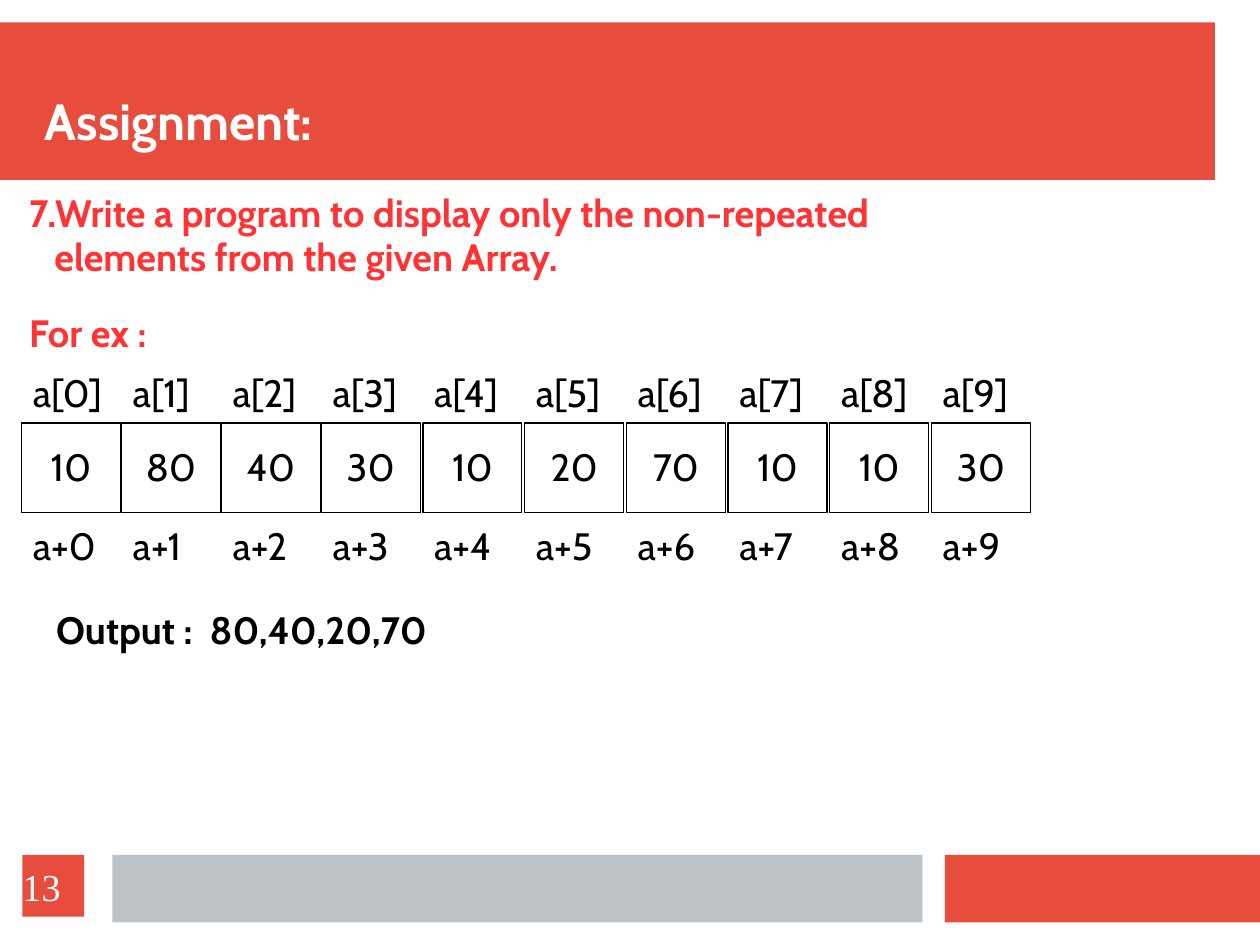
from pptx import Presentation
from pptx.dml.color import RGBColor
from pptx.enum.shapes import MSO_SHAPE
from pptx.enum.text import MSO_ANCHOR, PP_ALIGN
from pptx.util import Cm, Pt

RECTANGLE = MSO_SHAPE.RECTANGLE
TOP, MIDDLE, BOTTOM = MSO_ANCHOR.TOP, MSO_ANCHOR.MIDDLE, MSO_ANCHOR.BOTTOM
LEFT, CENTER = PP_ALIGN.LEFT, PP_ALIGN.CENTER

RED = RGBColor(0xE7, 0x4C, 0x3C)
GREY = RGBColor(0xBD, 0xC3, 0xC7)
BRIGHT_RED = RGBColor(0xFF, 0x33, 0x33)
BLACK = RGBColor(0, 0, 0)
WHITE = RGBColor(0xFF, 0xFF, 0xFF)

VALUES = [10, 80, 40, 30, 10, 20, 70, 10, 10, 30]
TEXT_MARGINS = (0.25, 0.13)
LINE_HEIGHT = 1.27


def write_text(shape, *lines, size=24, font="Cabin", color=BLACK, bold=False,
               align=LEFT, anchor=TOP, margins=TEXT_MARGINS, spacing=0.97,
               later_indent=0):
    frame = shape.text_frame
    frame.word_wrap = True
    frame.vertical_anchor = anchor
    frame.margin_left = frame.margin_right = Cm(margins[0])
    frame.margin_top = frame.margin_bottom = Cm(margins[1])
    for index, line in enumerate(lines):
        paragraph = frame.add_paragraph() if index else frame.paragraphs[0]
        paragraph.alignment = align
        paragraph.line_spacing = spacing
        if index and later_indent:
            paragraph._p.get_or_add_pPr().set("marL", str(Cm(later_indent)))
        run = paragraph.add_run()
        run.text = line
        run.font.name = font
        run.font.size = Pt(size)
        run.font.bold = bold
        run.font.color.rgb = color


def add_rectangle(slide, left, top, width, height, fill, line=None):
    shape = slide.shapes.add_shape(RECTANGLE, Cm(left), Cm(top), Cm(width), Cm(height))
    shape.shadow.inherit = False
    shape.fill.solid()
    shape.fill.fore_color.rgb = fill
    if line is None:
        shape.line.fill.background()
    else:
        shape.line.color.rgb = line
        shape.line.width = Pt(0.75)
    return shape


def add_text(slide, left, top, width, height, *lines, **text_format):
    box = slide.shapes.add_textbox(Cm(left), Cm(top), Cm(width), Cm(height))
    write_text(box, *lines, **text_format)


def add_header(slide, left, top, width, height):
    add_rectangle(slide, left, top, width, height, RED)
    add_text(slide, left + 1, top + 0.5, width - 1.12, 2.38, "Assignment:",
             size=32, color=WHITE, bold=True, anchor=BOTTOM, margins=(0, 0))


def add_question(slide, left, top, width):
    add_text(slide, left, top, width, 2.26,
             "7.Write a program to display only the non-repeated",
             "elements from the given Array.",
             color=BRIGHT_RED, bold=True, later_indent=0.56)
    add_text(slide, left, top + 2.66, 4.4, LINE_HEIGHT, "For ex :",
             color=BRIGHT_RED, bold=True)


def add_array(slide, left, top, cell_width, cell_height):
    for index, value in enumerate(VALUES):
        cell_top = top + LINE_HEIGHT
        cell = add_rectangle(slide, left, cell_top, cell_width, cell_height, WHITE, BLACK)
        write_text(cell, str(value), align=CENTER, anchor=MIDDLE)
        add_text(slide, left, top, cell_width + 0.03, LINE_HEIGHT, f"a[{index}]")
        add_text(slide, left, cell_top + cell_height + 0.13, cell_width + 0.06,
                 LINE_HEIGHT, f"a+{index}")
        left += cell_width + (0.02 if index < 3 else 0.06)


def add_output(slide, left, top, width):
    add_text(slide, left, top, width, LINE_HEIGHT, "Output :  80,40,20,70", bold=True)


def add_footer(slide, left, top, width, height):
    add_rectangle(slide, left + 21, top, width - 21, height, RED)
    add_rectangle(slide, left + 2.5, top, 18, height, GREY)
    number = add_rectangle(slide, left + 0.5, top, 1.37, 1.37, RED)
    write_text(number, "13", font="Times New Roman", color=WHITE,
               anchor=MIDDLE, margins=(0, 0), spacing=1.0)


def main():
    presentation = Presentation()
    presentation.slide_width = Cm(28)
    presentation.slide_height = Cm(21)
    slide = presentation.slides.add_slide(presentation.slide_layouts[6])
    add_header(slide, 0, 0.5, 27, 3.5)
    add_question(slide, 0.4, 4.14, 24.28)
    add_array(slide, 0.48, 8.13, 2.2, 2)
    add_output(slide, 1, 13.41, 11.48)
    add_footer(slide, 0, 19, 28, 1.5)
    presentation.save("out.pptx")


if __name__ == "__main__":
    main()
